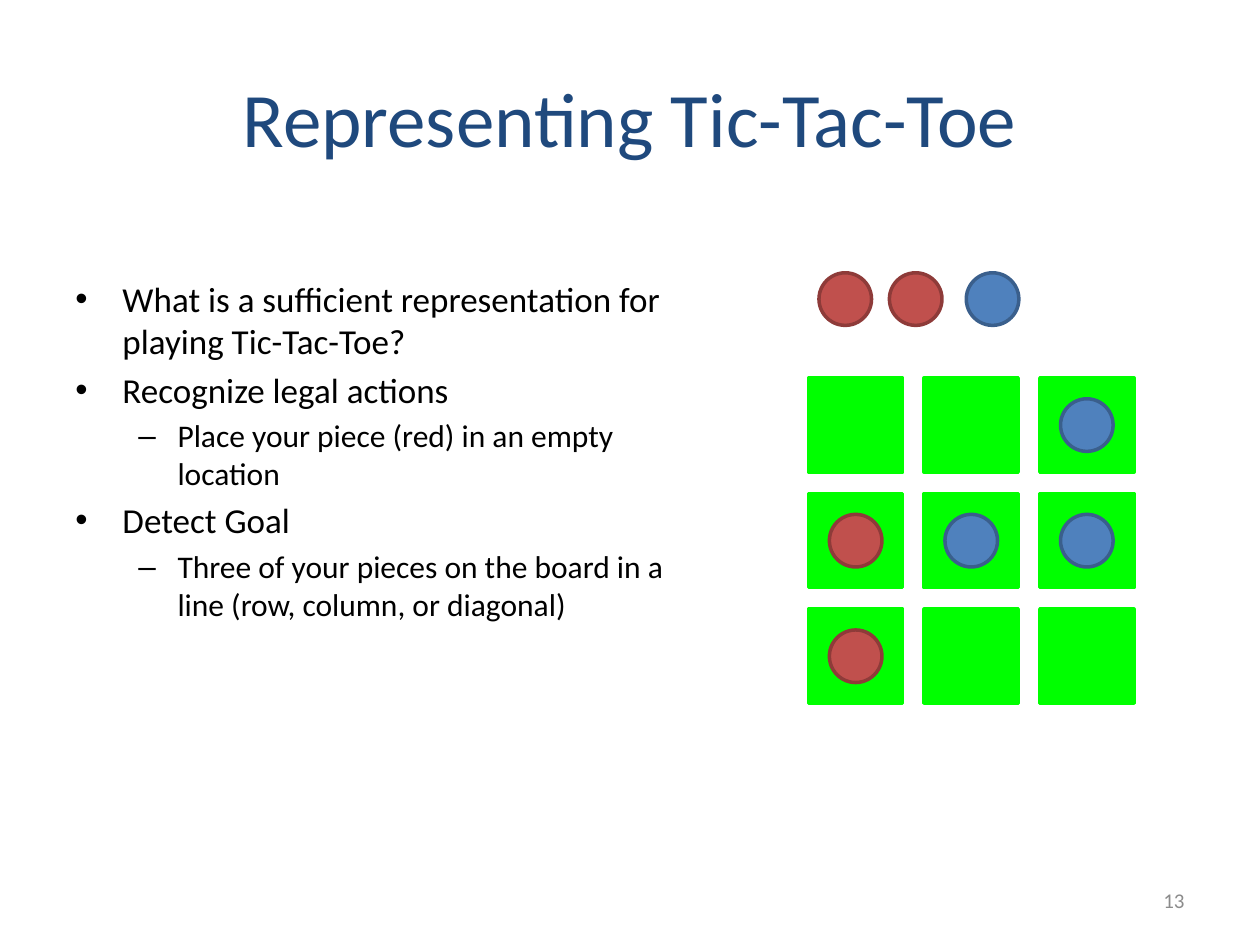
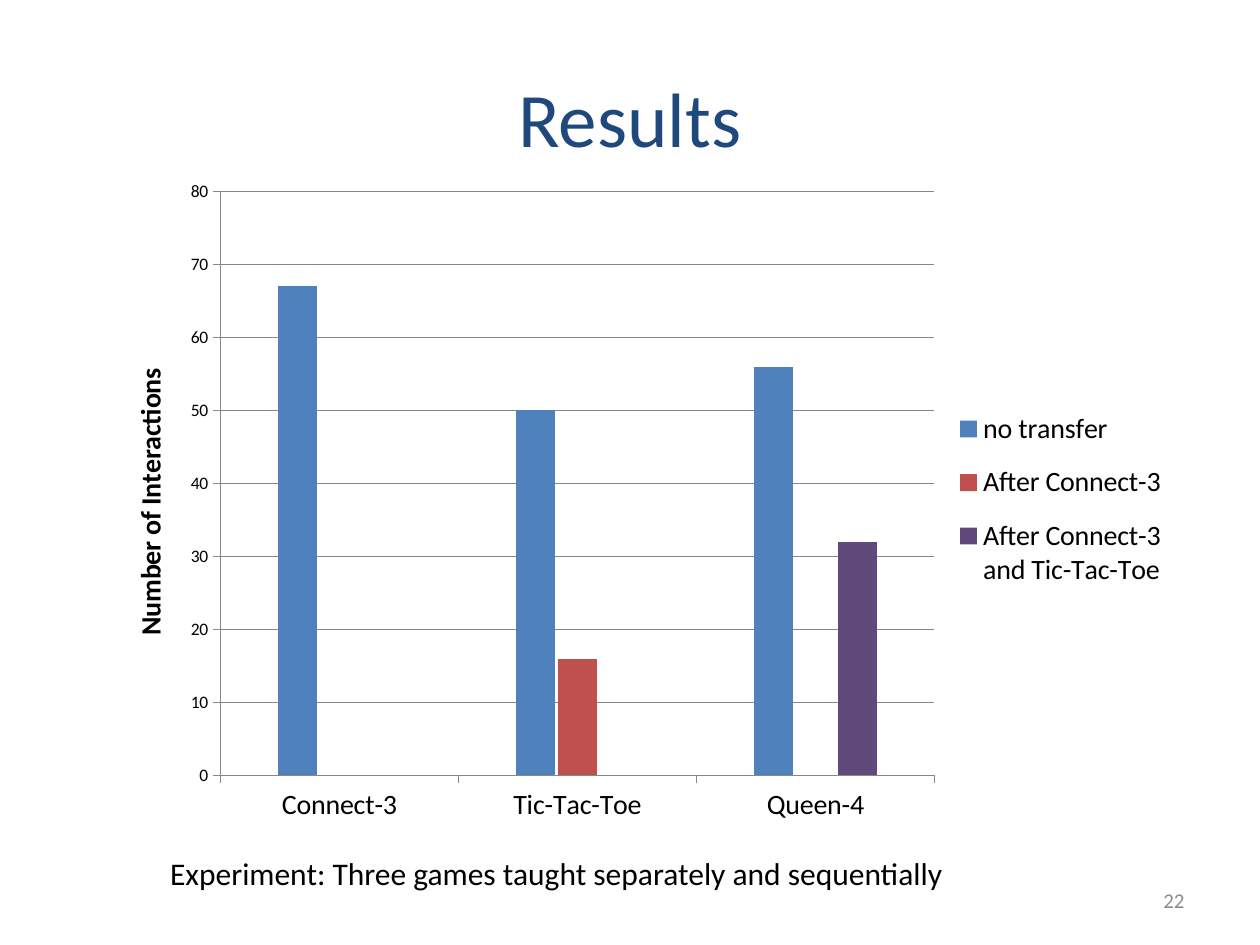
import dataclasses

import lxml.etree
import pptx
import pptx.chart.data
import pptx.dml.color
import pptx.enum.chart
import pptx.enum.shapes
import pptx.enum.text
import pptx.oxml.ns
import pptx.util

Cm = pptx.util.Cm
Pt = pptx.util.Pt
qn = pptx.oxml.ns.qn
Align = pptx.enum.text.PP_ALIGN
Anchor = pptx.enum.text.MSO_ANCHOR
Shape = pptx.enum.shapes.MSO_SHAPE
rgb = pptx.dml.color.RGBColor.from_string


@dataclasses.dataclass(frozen=True)
class Theme:
    font: str = "Calibri"
    title_colour: str = "1F497D"
    text_colour: str = "000000"
    number_colour: str = "8C8C8C"
    grid_colour: str = "878787"
    square: str = "00FF00"
    red: str = "C0504D"
    red_edge: str = "8E3B39"
    blue: str = "4F81BD"
    blue_edge: str = "3A5F8C"
    purple: str = "604A7B"
    title_size: int = 44
    body_size: int = 20
    detail_size: int = 18
    label_size: int = 16
    number_size: int = 12
    tick_size: int = 10


theme = Theme()


def write(frame, text, *, size, colour=theme.text_colour, align=Align.LEFT,
          bold=False, bullet=None, margin=0, hanging=0, space_before=0):
    """Fill the frame's first paragraph, or append one if it has text."""
    paragraph = frame.add_paragraph() if frame.text else frame.paragraphs[0]
    if bullet:
        properties = paragraph._p.get_or_add_pPr()
        properties.set("marL", str(Cm(margin)))
        properties.set("indent", str(-Cm(hanging)))
        lxml.etree.SubElement(properties, qn("a:buFont"), typeface="Arial")
        lxml.etree.SubElement(properties, qn("a:buChar"), char=bullet)
    paragraph.alignment = align
    paragraph.space_before = Pt(space_before)
    run = paragraph.add_run()
    run.text = text
    run.font.name = theme.font
    run.font.size = Pt(size)
    run.font.bold = bold
    run.font.color.rgb = rgb(colour)


def set_manual_layout(parent, position, **box):
    """Place a chart part by fractions of the chart area."""
    for old_layout in parent.findall(qn("c:layout")):
        parent.remove(old_layout)
    layout = lxml.etree.Element(qn("c:layout"))
    parent.insert(position, layout)
    manual = lxml.etree.SubElement(layout, qn("c:manualLayout"))
    for tag, value in box.items():
        lxml.etree.SubElement(manual, qn("c:" + tag), val=str(value))


presentation = pptx.Presentation()
presentation.slide_width = Cm(25.4)
presentation.slide_height = Cm(19.05)

# Titles and slide numbers
slides = []
for title_text, number in (("Representing Tic-Tac-Toe", 13), ("Results", 22)):
    slide = presentation.slides.add_slide(presentation.slide_layouts[5])
    slides.append(slide)
    title = slide.shapes.title
    title.left, title.top, title.width, title.height = Cm(1.27), Cm(0.76), Cm(22.86), Cm(3.18)
    title.text_frame.vertical_anchor = Anchor.MIDDLE
    write(title.text_frame, title_text, size=theme.title_size,
          colour=theme.title_colour, align=Align.CENTER)

    number_box = slide.shapes.add_textbox(Cm(18.2), Cm(17.65), Cm(5.93), Cm(1.01))
    number_box.text_frame.word_wrap = True
    number_box.text_frame.vertical_anchor = Anchor.MIDDLE
    write(number_box.text_frame, str(number), size=theme.number_size,
          colour=theme.number_colour, align=Align.RIGHT)

board_slide, results_slide = slides

# Questions about the game
body_box = board_slide.shapes.add_textbox(Cm(1.27), Cm(5.46), Cm(12.5), Cm(11.69))
body_box.text_frame.word_wrap = True
levels = (
    dict(size=theme.body_size, bullet="•", margin=0.95, hanging=0.95),
    dict(size=theme.detail_size, bullet="–", margin=2.06, hanging=0.79),
)
body_lines = (
    (0, "What is a sufficient representation for playing Tic-Tac-Toe?"),
    (0, "Recognize legal actions"),
    (1, "Place your piece (red) in an empty location"),
    (0, "Detect Goal"),
    (1, "Three of your pieces on the board in a line (row, column, or diagonal)"),
)
for index, (level, text) in enumerate(body_lines):
    gap = 0.2 * levels[level]["size"] if index else 0
    write(body_box.text_frame, text, space_before=gap, **levels[level])

# Board: R and B are pieces, a dot is an empty square
board = ("..B", "RBB", "R..")
board_left, board_top, pitch = 16.3, 7.62, 2.33
square_size, piece_size = 1.9, 1.06
inset = (square_size - piece_size) / 2
piece_colours = {"R": (theme.red, theme.red_edge), "B": (theme.blue, theme.blue_edge)}

squares = []
pieces = [("R", 16.51, 5.5), ("R", 17.93, 5.5), ("B", 19.48, 5.5)]
for row, marks in enumerate(board):
    for column, mark in enumerate(marks):
        left, top = board_left + column * pitch, board_top + row * pitch
        squares.append((Shape.RECTANGLE, left, top, square_size, theme.square, theme.square))
        if mark in piece_colours:
            pieces.append((mark, left + inset, top + inset))

discs = [(Shape.OVAL, left, top, piece_size, *piece_colours[mark])
         for mark, left, top in pieces]
for kind, left, top, size, fill, edge in squares + discs:
    shape = board_slide.shapes.add_shape(kind, Cm(left), Cm(top), Cm(size), Cm(size))
    shape.shadow.inherit = False
    shape.fill.solid()
    shape.fill.fore_color.rgb = rgb(fill)
    shape.line.color.rgb = rgb(edge)
    shape.line.width = Pt(2)

# Interactions chart
chart_data = pptx.chart.data.CategoryChartData()
chart_data.categories = ["Connect-3", "Tic-Tac-Toe", "Queen-4"]
series_rows = (
    ("no transfer", (67, 50, 56), theme.blue),
    ("After Connect-3", (None, 16, None), theme.red),
    ("After Connect-3 and Tic-Tac-Toe", (None, None, 32), theme.purple),
)
for name, values, colour in series_rows:
    chart_data.add_series(name, values)
chart = results_slide.shapes.add_chart(
    pptx.enum.chart.XL_CHART_TYPE.COLUMN_CLUSTERED,
    Cm(2.54), Cm(3.6), Cm(21.17), Cm(13.08), chart_data).chart
chart.has_title = False
chart.font.name = theme.font
chart.font.size = Pt(theme.tick_size)
chart.font.color.rgb = rgb(theme.text_colour)

plot = chart.plots[0]
plot.gap_width = 303
plot.overlap = -10
plot.vary_by_categories = False
for series, (name, values, colour) in zip(plot.series, series_rows):
    series.format.fill.solid()
    series.format.fill.fore_color.rgb = rgb(colour)
    series.invert_if_negative = False

value_axis, category_axis = chart.value_axis, chart.category_axis
value_axis.minimum_scale, value_axis.maximum_scale, value_axis.major_unit = 0, 80, 10
value_axis.has_major_gridlines = True
for axis in (value_axis, category_axis):
    axis.major_tick_mark = pptx.enum.chart.XL_TICK_MARK.OUTSIDE
    axis.minor_tick_mark = pptx.enum.chart.XL_TICK_MARK.NONE
for line in (value_axis.format.line, category_axis.format.line,
             value_axis.major_gridlines.format.line):
    line.color.rgb = rgb(theme.grid_colour)
    line.width = Pt(0.75)
category_axis.tick_labels.font.size = Pt(theme.label_size)
axis_title = value_axis.axis_title.text_frame
write(axis_title, "Number of Interactions", size=theme.label_size,
      align=Align.CENTER, bold=True)
axis_title._txBody.bodyPr.set("rot", "-5400000")
axis_title._txBody.bodyPr.set("vert", "horz")

chart.has_legend = True
chart.legend.position = pptx.enum.chart.XL_LEGEND_POSITION.RIGHT
chart.legend.include_in_layout = False
chart.legend.font.size = Pt(theme.label_size)
set_manual_layout(chart._chartSpace.chart.plotArea, 0, layoutTarget="inner",
                  xMode="edge", yMode="edge", x=0.09, y=0.02, w=0.68, h=0.9)
set_manual_layout(chart.legend._element, 1, xMode="edge", yMode="edge",
                  x=0.78, y=0.33, w=0.22, h=0.33)

caption = results_slide.shapes.add_textbox(Cm(3.18), Cm(17.09), Cm(18.85), Cm(1.03))
caption.text_frame.word_wrap = True
write(caption.text_frame, "Experiment: Three games taught separately and sequentially",
      size=theme.detail_size)

presentation.save("out.pptx")
